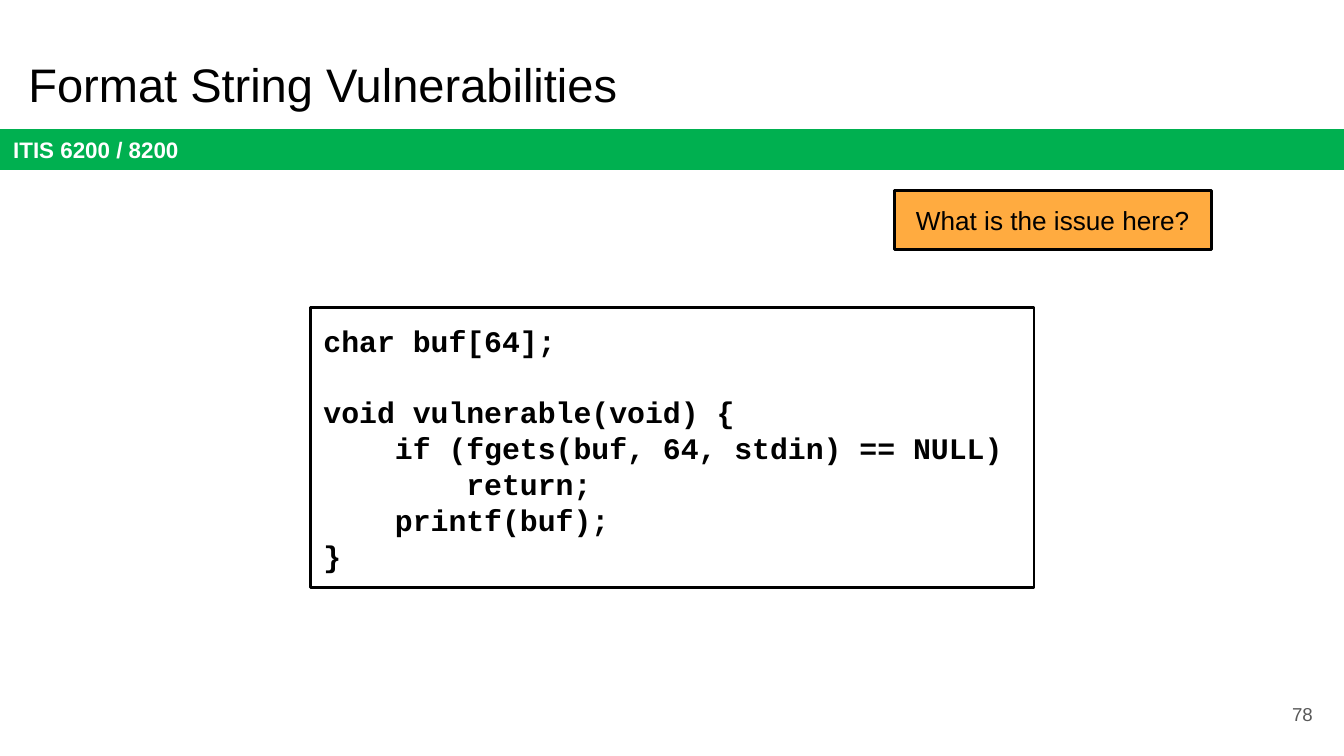
import pptx
import pptx.util
import pptx.dml.color
import pptx.enum.shapes
import pptx.enum.text

Pt = pptx.util.Pt
RGBColor = pptx.dml.color.RGBColor
ALIGN = pptx.enum.text.PP_ALIGN
ANCHOR = pptx.enum.text.MSO_ANCHOR

BLACK = RGBColor(0x00, 0x00, 0x00)
WHITE = RGBColor(0xFF, 0xFF, 0xFF)
GREEN = RGBColor(0x00, 0xB0, 0x50)
ORANGE = RGBColor(0xFF, 0xAB, 0x40)
GRAY = RGBColor(0x59, 0x59, 0x59)

# Content
TITLE = "Format String Vulnerabilities"
COURSE = "ITIS 6200 / 8200"
QUESTION = "What is the issue here?"
PAGE = "78"
CODE_BLOCKS = [
    ["char buf[64];"],
    [
        "void vulnerable(void) {",
        "    if (fgets(buf, 64, stdin) == NULL)",
        "        return;",
        "    printf(buf);",
        "}",
    ],
]
CODE_LINE = Pt(19.2)
INSET = Pt(7.2)


def set_frame(sp, anchor=ANCHOR.MIDDLE):
    tf = sp.text_frame
    tf.word_wrap = True
    tf.auto_size = pptx.enum.text.MSO_AUTO_SIZE.NONE
    tf.vertical_anchor = anchor
    tf.margin_left = tf.margin_right = tf.margin_top = tf.margin_bottom = INSET
    return tf


def style(p, size, color=BLACK, bold=False, align=ALIGN.LEFT, name="Arial"):
    p.alignment = align
    p.font.name = name
    p.font.size = Pt(size)
    p.font.bold = bold
    p.font.color.rgb = color


def add_box(s, left, top, width, height, fill, outlined=True):
    sp = s.shapes.add_shape(pptx.enum.shapes.MSO_SHAPE.RECTANGLE,
                            Pt(left), Pt(top), Pt(width), Pt(height))
    sp.shadow.inherit = False
    sp.fill.solid()
    sp.fill.fore_color.rgb = fill
    if outlined:
        sp.line.color.rgb = BLACK
        sp.line.width = Pt(1.5)
    else:
        sp.line.fill.background()
    return set_frame(sp)


prs = pptx.Presentation()
prs.slide_width, prs.slide_height = Pt(720), Pt(405)
s = prs.slides.add_slide(prs.slide_layouts[5])

# Title
title = s.shapes.title
title.left, title.top, title.width, title.height = Pt(8), Pt(21.6), Pt(671), Pt(45.4)
tf = set_frame(title, ANCHOR.BOTTOM)
tf.text = TITLE
style(tf.paragraphs[0], 25.2)

# Course bar
tf = add_box(s, 0, 69.2, 720, 21.8, GREEN, outlined=False)
tf.text = COURSE
style(tf.paragraphs[0], 12, WHITE, bold=True)

# Code listing, one line of space between blocks
tf = add_box(s, 166.2, 164.7, 387.8, 150.2, WHITE)
tf.text = "\n".join(line for block in CODE_BLOCKS for line in block)
for p in tf.paragraphs:
    p.line_spacing = CODE_LINE
    style(p, 16, bold=True, name="Courier New")
tf.paragraphs[len(CODE_BLOCKS[0])].space_before = CODE_LINE

# Question callout
tf = add_box(s, 479, 102.2, 170, 31.6, ORANGE)
tf.text = QUESTION
style(tf.paragraphs[0], 14, align=ALIGN.CENTER)

# Page number
tf = set_frame(s.shapes.add_textbox(Pt(667.2), Pt(367.2), Pt(43.2), Pt(31)))
tf.text = PAGE
style(tf.paragraphs[0], 10, GRAY, align=ALIGN.RIGHT)

prs.save("out.pptx")
